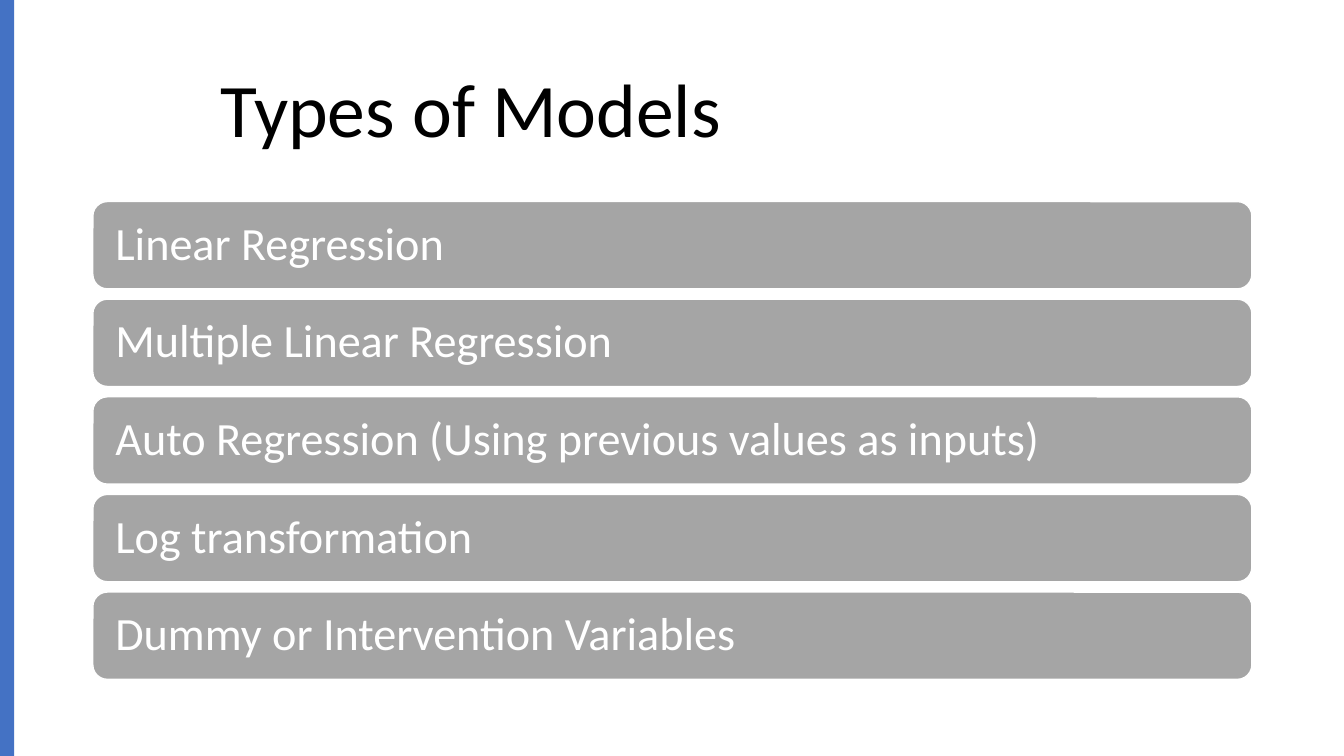
"""Build a slide that lists types of regression models as stacked bars."""
from pptx import Presentation
from pptx.dml.color import RGBColor
from pptx.enum.shapes import MSO_SHAPE
from pptx.enum.text import MSO_ANCHOR, MSO_AUTO_SIZE, PP_ALIGN
from pptx.util import Cm, Pt

RECT = MSO_SHAPE.RECTANGLE
ROUND = MSO_SHAPE.ROUNDED_RECTANGLE
MIDDLE = MSO_ANCHOR.MIDDLE
LEFT = PP_ALIGN.LEFT
FIXED = MSO_AUTO_SIZE.NONE

BLACK = RGBColor(0, 0, 0)
WHITE = RGBColor(255, 255, 255)
BLUE = RGBColor(0x44, 0x72, 0xC4)
GRAY = RGBColor(0xA5, 0xA5, 0xA5)

WIDTH, HEIGHT = 33.87, 19.05
TOP, PITCH = 5.08, 2.46
MODELS = [
    "Linear Regression",
    "Multiple Linear Regression",
    "Auto Regression (Using previous values as inputs)",
    "Log transformation",
    "Dummy or Intervention Variables",
]


class Deck:
    """Holds the text style and the current slide."""

    def __init__(self, prs, font):
        self.font = font
        self.slide = prs.slides.add_slide(prs.slide_layouts[5])

    def label(self, shape, text, size, color):
        frame = shape.text_frame
        frame.text = text
        frame.word_wrap = True
        frame.auto_size = FIXED
        frame.vertical_anchor = MIDDLE
        para = frame.paragraphs[0]
        para.alignment = LEFT
        para.line_spacing = 0.9
        font = para.runs[0].font
        font.name = self.font
        font.size = Pt(size)
        font.color.rgb = color

    def title(self, text, left, top, width, height):
        shape = self.slide.shapes.title
        shape.left, shape.top = Cm(left), Cm(top)
        shape.width, shape.height = Cm(width), Cm(height)
        self.label(shape, text, 54, BLACK)

    def block(self, kind, left, top, width, height, fill):
        shape = self.slide.shapes.add_shape(
            kind, Cm(left), Cm(top), Cm(width), Cm(height))
        shape.shadow.inherit = False
        shape.fill.solid()
        shape.fill.fore_color.rgb = fill
        shape.line.fill.background()
        return shape

    def bar(self, text, top):
        shape = self.block(ROUND, 2.34, top, 29.21, 2.2, GRAY)
        shape.line.color.rgb = WHITE
        shape.line.width = Pt(1)
        frame = shape.text_frame
        frame.margin_left = frame.margin_right = Cm(0.46)
        frame.margin_top = frame.margin_bottom = Cm(0.36)
        self.label(shape, text, 33, WHITE)


def main():
    prs = Presentation()
    prs.slide_width, prs.slide_height = Cm(WIDTH), Cm(HEIGHT)
    deck = Deck(prs, "Calibri")
    deck.title("Types of Models", 5.31, 1.02, 26.21, 3.68)
    deck.block(RECT, 0, 0, 0.36, HEIGHT, BLUE)
    for row, model in enumerate(MODELS):
        deck.bar(model, TOP + row * PITCH)
    prs.save("out.pptx")


if __name__ == "__main__":
    main()
